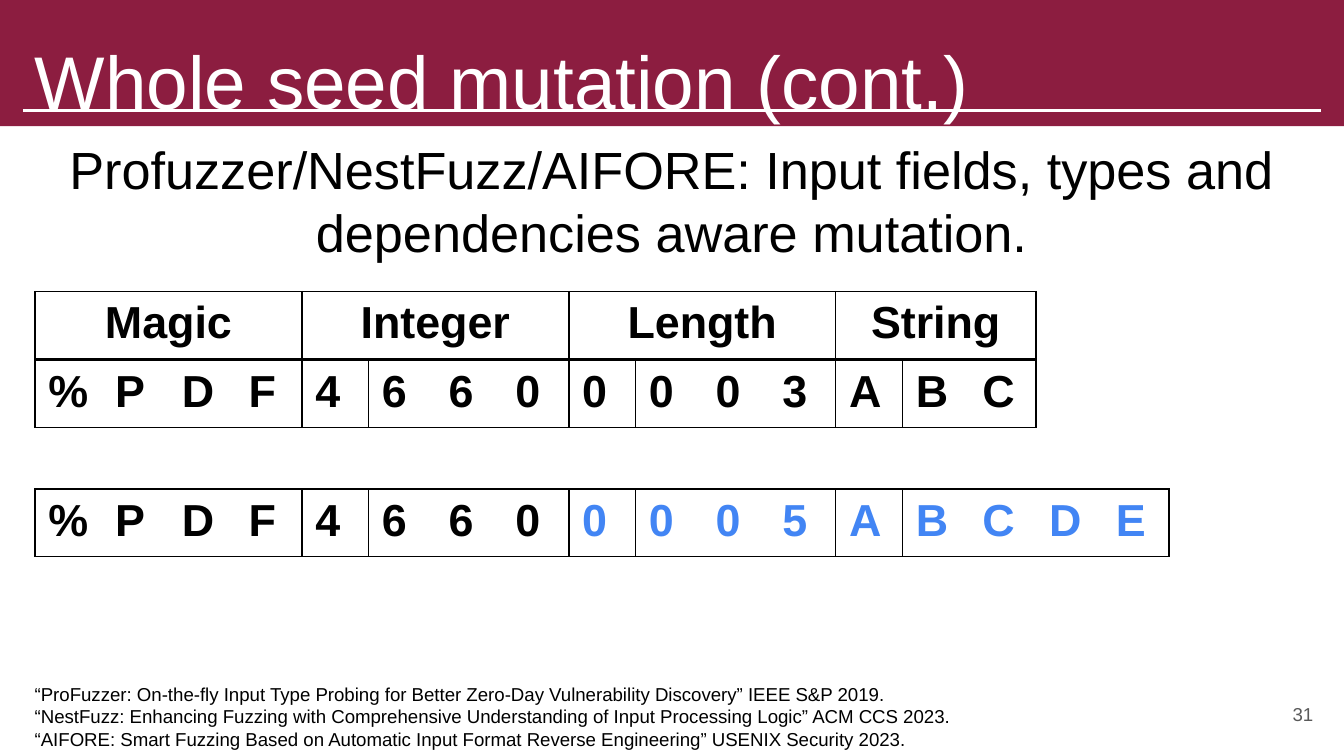
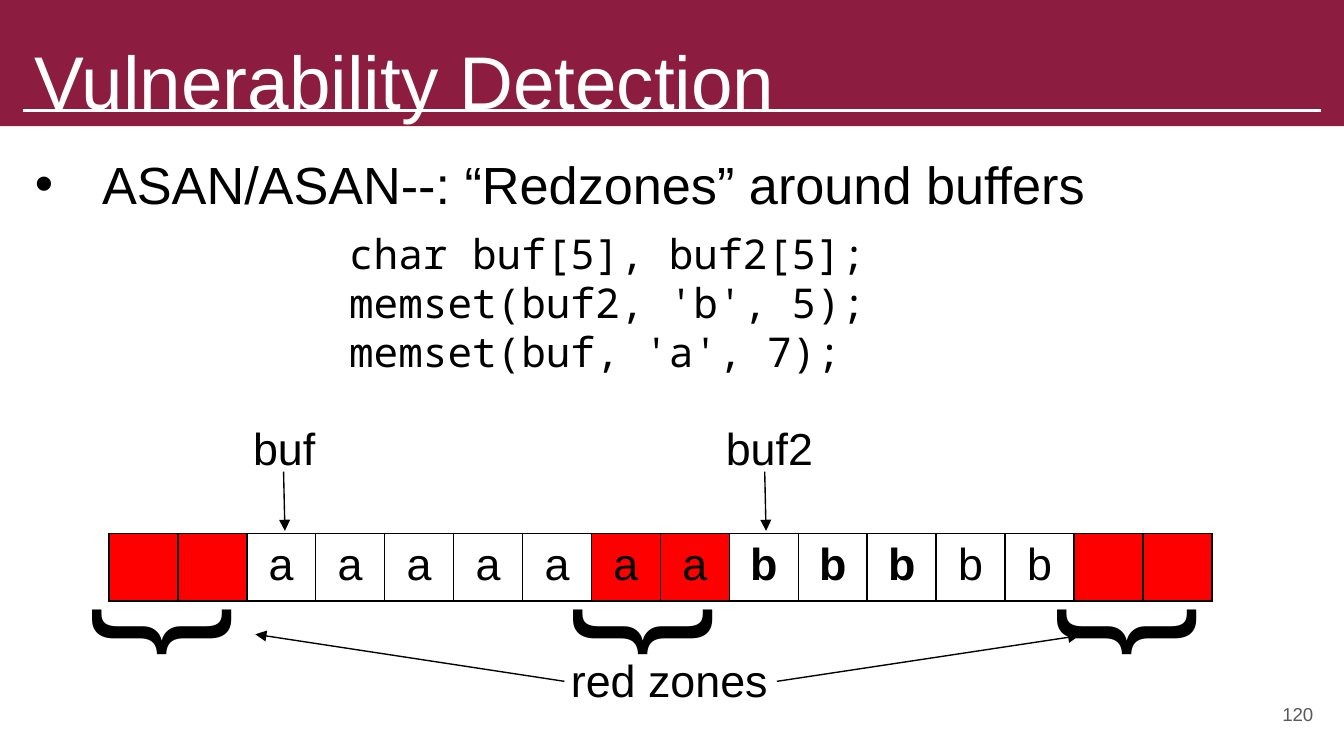
from dataclasses import dataclass
from typing import NamedTuple, Optional

from lxml.etree import SubElement
from pptx import Presentation
from pptx.dml.color import RGBColor
from pptx.enum.shapes import MSO_CONNECTOR as Conn, MSO_SHAPE as Shape
from pptx.enum.text import MSO_ANCHOR as Anchor, MSO_AUTO_SIZE as Fit, PP_ALIGN as Align
from pptx.oxml.ns import qn
from pptx.util import Inches, Pt

COLORS = {
    "maroon": "8C1D40", "white": "FFFFFF", "black": "000000",
    "gray": "595959", "blue": "4285F4", "red": "FF0000",
}
SANS, MONO = "Arial", "Noto Sans Mono"
PLAIN_TABLE = "{2D5ABB26-0587-4C30-8999-92F81FD0307C}"
ALL_SIDES = "LRTB"
COLS, ROWS = 100, 56.25  # grid of the slide
UNIT = Inches(0.1)


class Box(NamedTuple):
    """Left, top, width and height in grid columns and rows."""
    col: float
    row: float
    cols: float
    rows: float


class Arrow(NamedTuple):
    start: tuple[float, float]
    end: tuple[float, float]


@dataclass
class Cell:
    text: str = ""
    color: str = "black"
    bold: bool = False
    fill: Optional[str] = None
    sides: str = ALL_SIDES
    align: Align = Align.LEFT


TITLE = Box(1.6, 1, 96.7, 7.2)
NUMBER = Box(92.7, 51, 6, 4.3)


def rgb(name: str) -> RGBColor:
    return RGBColor.from_string(COLORS[name])


def grid(*values: float) -> list[int]:
    return [round(v * UNIT) for v in values]


# Text
def write(tf, *lines: str, size: float, font: str = SANS, color: str = "black",
          bold: bool = False, align: Align = Align.LEFT, bullet: bool = False) -> None:
    for i, line in enumerate(lines):
        p = tf.paragraphs[0] if i == 0 else tf.add_paragraph()
        p.alignment = align
        p.space_before = Pt(0)
        pPr = p._p.get_or_add_pPr()
        pPr.set("marL", str(Inches(0.5) if bullet else 0))
        pPr.set("indent", str(-Inches(0.5) if bullet else 0))
        if bullet:
            clr = SubElement(pPr, qn("a:buClr"))
            SubElement(clr, qn("a:srgbClr"), val=COLORS[color])
            SubElement(pPr, qn("a:buFont"), typeface=SANS)
            SubElement(pPr, qn("a:buChar"), char="•")
        else:
            SubElement(pPr, qn("a:buNone"))
        r = p.add_run()
        r.text = line
        r.font.size, r.font.name, r.font.bold = Pt(size), font, bold
        r.font.color.rgb = rgb(color)


def place(sp, box: Box) -> None:
    sp.left, sp.top, sp.width, sp.height = grid(*box)


def add_text(slide, box: Box, *lines: str, rotation: float = 0, **fmt):
    sp = slide.shapes.add_textbox(*grid(*box))
    sp.rotation = rotation
    tf = sp.text_frame
    tf.word_wrap = True
    tf.auto_size = Fit.SHAPE_TO_FIT_TEXT
    write(tf, *lines, **fmt)
    return sp


def fill_body(slide, box: Box, text: str, **fmt) -> None:
    sp = slide.placeholders[1]
    place(sp, box)
    sp.text_frame.auto_size = Fit.SHAPE_TO_FIT_TEXT
    write(sp.text_frame, text, size=28, **fmt)


# Lines
def add_line(slide, start: tuple[float, float], end: tuple[float, float],
             color: str = "black", width: float = 0.75, arrow: bool = False):
    cx = slide.shapes.add_connector(Conn.STRAIGHT, *grid(*start, *end))
    cx.line.color.rgb = rgb(color)
    cx.line.width = Pt(width)
    if arrow:
        SubElement(cx.line._get_or_add_ln(), qn("a:tailEnd"), type="triangle")
    SubElement(cx._element.spPr, qn("a:effectLst"))
    return cx


# Tables
def set_borders(cell, sides: str) -> None:
    tcPr = cell._tc.get_or_add_tcPr()
    for i, side in enumerate(s for s in ALL_SIDES if s in sides):
        ln = tcPr.makeelement(qn(f"a:ln{side}"), {"w": str(Pt(1))})
        solid = SubElement(ln, qn("a:solidFill"))
        SubElement(solid, qn("a:srgbClr"), val=COLORS["black"])
        tcPr.insert(i, ln)


def add_row(slide, box: Box, cells: list[Cell],
            widths: Optional[list[float]] = None) -> None:
    widths = widths or [box.cols / len(cells)] * len(cells)
    table = slide.shapes.add_table(1, len(cells), *grid(*box)).table
    table.first_row = table.horz_banding = False
    table._tbl.tblPr.find(qn("a:tableStyleId")).text = PLAIN_TABLE
    for i, (item, width) in enumerate(zip(cells, widths)):
        table.columns[i].width = grid(width)[0]
        cell = table.cell(0, i)
        if item.fill:
            cell.fill.solid()
            cell.fill.fore_color.rgb = rgb(item.fill)
        else:
            cell.fill.background()
        set_borders(cell, item.sides)
        if item.text:
            write(cell.text_frame, item.text, size=24, color=item.color,
                  bold=item.bold, align=item.align)


def field_cells(*fields: tuple[str, str]) -> list[Cell]:
    """One cell per byte, with upright borders only around each field."""
    return [
        Cell(byte, color, bold=True,
             sides="TB" + "L" * (i == 0) + "R" * (i == len(data) - 1))
        for data, color in fields for i, byte in enumerate(data)
    ]


# Slide frame: band, rule, title and number
def new_slide(prs, title: str, number: int):
    slide = prs.slides.add_slide(prs.slide_layouts[1])
    band = slide.shapes.add_shape(Shape.RECTANGLE, *grid(0, 0, COLS, 9.4))
    band.shadow.inherit = False
    band.fill.solid()
    band.fill.fore_color.rgb = rgb("maroon")
    band.line.fill.background()
    rule = add_line(slide, (1.7, 8.2), (98.3, 8.2), "white", 1.5)
    for i, sp in enumerate((band, rule)):  # send behind the title
        slide.shapes._spTree.insert(2 + i, sp._element)

    head = slide.shapes.title
    place(head, TITLE)
    tf = head.text_frame
    tf.auto_size, tf.vertical_anchor = Fit.NONE, Anchor.TOP
    tf.margin_top = Inches(0.16)
    tf.margin_left = tf.margin_right = tf.margin_bottom = Inches(0.1)
    write(tf, title, size=40, color="white")

    tf = add_text(slide, NUMBER, str(number), size=10, color="gray",
                  align=Align.RIGHT).text_frame
    tf.auto_size, tf.vertical_anchor = Fit.NONE, Anchor.MIDDLE
    tf.margin_left = tf.margin_right = tf.margin_top = tf.margin_bottom = Inches(0.1)
    return slide


def mutation_slide(prs) -> None:
    slide = new_slide(prs, "Whole seed mutation (cont.)", 31)
    fill_body(slide, Box(1.6, 9.7, 96.7, 10.4),
              "Profuzzer/NestFuzz/AIFORE: Input fields, types and "
              "dependencies aware mutation.", align=Align.CENTER)

    # Seed with its field names, then the mutated seed
    left, byte, high = 2.6, 4.965, 5
    names = {"Magic": 4, "Integer": 4, "Length": 4, "String": 3}
    seed = field_cells(*((data, "black") for data in ("%PDF", "4660", "0003", "ABC")))
    mutant = field_cells(("%PDF", "black"), ("4660", "black"),
                         ("0005", "blue"), ("ABCDE", "blue"))
    add_row(slide, Box(left, 26.8, byte * len(seed), high), seed)
    add_row(slide, Box(left, 21.7, byte * len(seed), high),
            [Cell(name, bold=True, align=Align.CENTER) for name in names],
            [byte * n for n in names.values()])
    add_row(slide, Box(left, 36.4, byte * len(mutant), high), mutant)

    add_text(
        slide, Box(1.6, 50.3, 79, 6.1),
        "“ProFuzzer: On-the-fly Input Type Probing for Better Zero-Day "
        "Vulnerability Discovery” IEEE S&P 2019.",
        "“NestFuzz: Enhancing Fuzzing with Comprehensive Understanding of "
        "Input Processing Logic” ACM CCS 2023.",
        "“AIFORE: Smart Fuzzing Based on Automatic Input Format Reverse "
        "Engineering” USENIX Security 2023.", size=10)


def detection_slide(prs) -> None:
    slide = new_slide(prs, "Vulnerability Detection", 120)
    fill_body(slide, Box(1.6, 10.8, 96.7, 5.7),
              "ASAN/ASAN--: “Redzones” around buffers", bullet=True)
    add_text(slide, Box(25, 16.5, 44.6, 12.1), "char buf[5], buf2[5];",
             "memset(buf2, 'b', 5);", "memset(buf, 'a', 7);", size=22, font=MONO)

    # Memory: two bytes of red zone before, between and after the buffers
    memory = [""] * 2 + ["a"] * 7 + ["b"] * 5 + [""] * 2
    red_zones, bold_bytes = {0, 1, 7, 8, 14, 15}, {9, 10, 11}
    add_row(slide, Box(8.1, 39.7, 82.1, 5), [
        Cell(byte, bold=i in bold_bytes, align=Align.CENTER,
             fill="red" if i in red_zones else None)
        for i, byte in enumerate(memory)])

    # Labels, braces and arrows
    for name, col, cols in (("buf", 17.3, 7.7), ("buf2", 52.7, 9.1)):
        add_text(slide, Box(col, 30.8, cols, 5), name, size=24, align=Align.CENTER)
    for col in (10.8, 46.6, 82.6):
        add_text(slide, Box(col, 39.7, 5.4, 14.5), "}", size=80, rotation=90)
    add_text(slide, Box(41.5, 48.1, 18.3, 5), "red zones", size=24)
    for arrow in (Arrow((21.1, 35.1), (21.2, 39.5)), Arrow((56.9, 35.1), (57, 39.5)),
                  Arrow((42, 50.7), (19, 47.2)), Arrow((57.8, 50.7), (80.3, 47.3))):
        add_line(slide, arrow.start, arrow.end, arrow=True)


def main() -> None:
    prs = Presentation()
    prs.slide_width, prs.slide_height = grid(COLS, ROWS)
    mutation_slide(prs)
    detection_slide(prs)
    prs.save("out.pptx")


if __name__ == "__main__":
    main()
